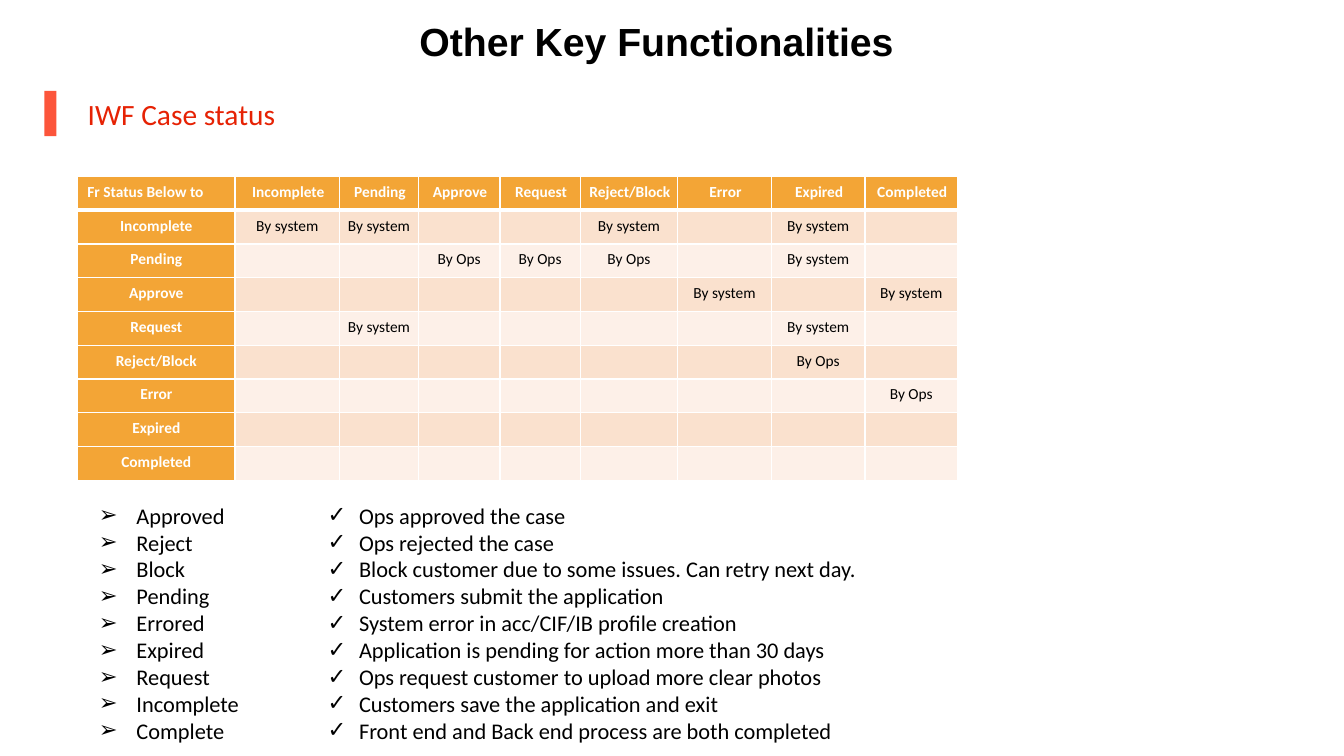
from lxml.etree import SubElement
from pptx import Presentation
from pptx.dml.color import RGBColor
from pptx.enum.shapes import MSO_SHAPE as Preset
from pptx.enum.text import MSO_AUTO_SIZE as AutoSize, PP_ALIGN as Align
from pptx.oxml.ns import qn
from pptx.util import Cm, Pt

BLACK = RGBColor(0x00, 0x00, 0x00)
WHITE = RGBColor(0xFF, 0xFF, 0xFF)
RED = RGBColor(0xE6, 0x22, 0x04)
CORAL = RGBColor(0xFC, 0x55, 0x3B)
ORANGE = RGBColor(0xF3, 0xA5, 0x36)
BANDS = (RGBColor(0xFD, 0xF0, 0xE8), RGBColor(0xFA, 0xE1, 0xCE))

STATUSES = ("Incomplete", "Pending", "Approve", "Request", "Reject/Block",
            "Error", "Expired", "Completed")
COLUMN_WIDTHS = (3.96, 2.64, 1.98, 2.06, 2.02, 2.46, 2.36, 2.36, 2.33)
ROW_HEIGHT = 0.85
CELL_MARGIN = 0.15
TRANSITIONS = {
    "Incomplete": {"Incomplete": "By system", "Pending": "By system",
                   "Reject/Block": "By system", "Expired": "By system"},
    "Pending": {"Approve": "By Ops", "Request": "By Ops",
                "Reject/Block": "By Ops", "Expired": "By system"},
    "Approve": {"Error": "By system", "Completed": "By system"},
    "Request": {"Pending": "By system", "Expired": "By system"},
    "Reject/Block": {"Expired": "By Ops"},
    "Error": {"Completed": "By Ops"},
}
MEANINGS = {
    "Approved": "Ops approved the case",
    "Reject": "Ops rejected the case",
    "Block": "Block customer due to some issues. Can retry next day.",
    "Pending": "Customers submit the application",
    "Errored": "System error in acc/CIF/IB profile creation",
    "Expired": "Application is pending for action more than 30 days",
    "Request": "Ops request customer to upload more clear photos",
    "Incomplete": "Customers save the application and exit",
    "Complete": "Front end and Back end process are both completed",
}


def write(paragraph, text, size=16, font="Calibri", color=BLACK, bold=False,
          align=Align.LEFT):
    paragraph.alignment = align
    run = paragraph.add_run()
    run.text = text
    run.font.size = Pt(size)
    run.font.name = font
    run.font.bold = bold
    run.font.color.rgb = color


def add_text_frame(slide, left, top, width, height, wrap=True):
    box = slide.shapes.add_textbox(Cm(left), Cm(top), Cm(width), Cm(height))
    box.text_frame.word_wrap = wrap
    box.text_frame.auto_size = AutoSize.SHAPE_TO_FIT_TEXT
    return box.text_frame


def add_title(slide, left, top, width, height):
    frame = add_text_frame(slide, left, top, width, height)
    write(frame.paragraphs[0], "Other Key Functionalities", size=28,
          font="Arial", bold=True, align=Align.CENTER)


def add_section_heading(slide, left, top, width, height):
    bar_width, indent = 0.3, 0.84
    frame = add_text_frame(slide, left + indent, top, width - indent, height)
    write(frame.paragraphs[0], "IWF Case status", size=21, color=RED)
    bar = slide.shapes.add_shape(Preset.RECTANGLE, Cm(left), Cm(top),
                                 Cm(bar_width), Cm(height))
    bar.shadow.inherit = False
    bar.fill.solid()
    bar.fill.fore_color.rgb = CORAL
    bar.line.fill.background()


def add_border(cell, side, points):
    line = SubElement(cell._tc.get_or_add_tcPr(), qn(f"a:ln{side}"),
                      w=str(Pt(points)))
    fill = SubElement(line, qn("a:solidFill"))
    SubElement(fill, qn("a:srgbClr"), val=str(WHITE))


def fill_cell(cell, text, row, column):
    heading = row == 0 or column == 0
    corner = row == 0 and column == 0
    cell.margin_top = cell.margin_bottom = Cm(CELL_MARGIN)
    cell.margin_left = Cm(0.24 if corner else CELL_MARGIN)
    cell.margin_right = Cm(0.1 if row == 0 else CELL_MARGIN)
    thickness = {"L": 1, "R": 1, "T": 3 if row == 1 else 1,
                 "B": 3 if row == 0 else 1}
    for side, points in thickness.items():
        add_border(cell, side, points)
    cell.fill.solid()
    cell.fill.fore_color.rgb = ORANGE if heading else BANDS[row % 2]
    paragraph = cell.text_frame.paragraphs[0]
    if text:
        write(paragraph, text, size=11, color=WHITE if heading else BLACK,
              bold=heading, align=Align.LEFT if corner else Align.CENTER)
    else:
        SubElement(paragraph._p, qn("a:endParaRPr"), sz="1100")


def add_status_table(slide, left, top):
    rows = [("Fr Status Below to", *STATUSES)]
    for origin in STATUSES:
        actors = TRANSITIONS.get(origin, {})
        rows.append((origin, *(actors.get(target, "") for target in STATUSES)))
    table = slide.shapes.add_table(
        len(rows), len(COLUMN_WIDTHS), Cm(left), Cm(top),
        Cm(sum(COLUMN_WIDTHS)), Cm(ROW_HEIGHT * len(rows))).table
    for column, width in zip(table.columns, COLUMN_WIDTHS):
        column.width = Cm(width)
    for row, texts in enumerate(rows):
        table.rows[row].height = Cm(ROW_HEIGHT)
        for column, text in enumerate(texts):
            fill_cell(table.cell(row, column), text, row, column)


def add_bullet_list(slide, left, top, width, height, items, bullet, indent,
                    wrap=True):
    frame = add_text_frame(slide, left, top, width, height, wrap)
    for index, item in enumerate(items):
        paragraph = frame.add_paragraph() if index else frame.paragraphs[0]
        properties = paragraph._p.get_or_add_pPr()
        properties.set("marL", str(Cm(indent)))
        properties.set("indent", str(-Cm(indent)))
        SubElement(properties, qn("a:buFont"), typeface="Arial")
        SubElement(properties, qn("a:buChar"), char=bullet)
        write(paragraph, item)


def add_meanings(slide, left, top, height):
    add_bullet_list(slide, left, top, 4.98, height, MEANINGS.keys(), "➢", 0.95)
    add_bullet_list(slide, left + 5.77, top, 13.89, height, MEANINGS.values(),
                    "✓", 0.79, wrap=False)


def main():
    presentation = Presentation()
    presentation.slide_width = Cm(33.87)
    presentation.slide_height = Cm(19.05)
    slide = presentation.slides.add_slide(presentation.slide_layouts[6])
    add_title(slide, 4.9, 0.3, 23.29, 1.45)
    add_section_heading(slide, 1.12, 2.29, 12.93, 1.14)
    add_status_table(slide, 1.96, 4.45)
    add_meanings(slide, 2.24, 12.52, 6.4)
    presentation.save("out.pptx")


if __name__ == "__main__":
    main()
